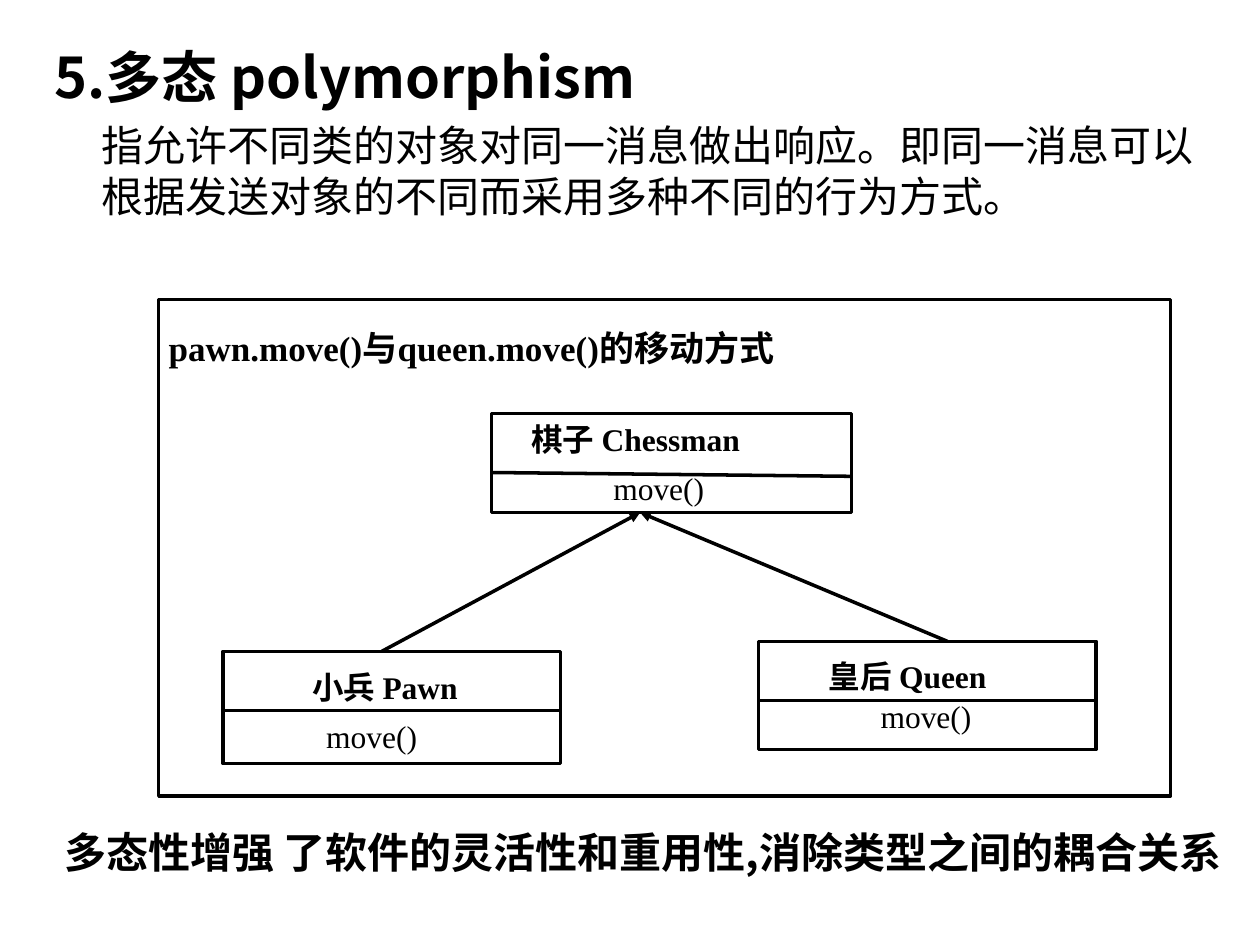
from pptx import Presentation
from pptx.dml.color import RGBColor
from pptx.enum.shapes import MSO_CONNECTOR, MSO_SHAPE
from pptx.enum.text import MSO_ANCHOR, PP_ALIGN
from pptx.oxml.ns import qn
from pptx.util import Pt
from lxml.etree import SubElement

BLACK = RGBColor(0, 0, 0)
SANS, SERIF, BODY = "Noto Sans CJK SC", "Times New Roman", "Calibri"
LINE_WIDTH = Pt(2)

prs = Presentation()
prs.slide_width, prs.slide_height = Pt(720), Pt(540)
slide = prs.slides.add_slide(prs.slide_layouts[5])
shapes = slide.shapes


def write(text, left, top, width, height, size=18, font=SERIF, bold=False,
          wrap=False, holder=None, anchor=MSO_ANCHOR.TOP):
    """Put one paragraph in a new text box, or in the given placeholder."""
    box = holder or shapes.add_textbox(0, 0, 0, 0)
    box.left, box.top, box.width, box.height = map(Pt, (left, top, width, height))
    frame = box.text_frame
    frame.word_wrap = wrap
    frame.vertical_anchor = anchor
    paragraph = frame.paragraphs[0]
    paragraph.alignment = PP_ALIGN.LEFT
    run = paragraph.add_run()
    run.text = text
    run.font.size, run.font.name, run.font.bold = Pt(size), font, bold
    run.font.color.rgb = BLACK
    SubElement(run.font._element, qn("a:ea"), typeface=SANS)


def draw_line(x1, y1, x2, y2, arrow=False):
    line = shapes.add_connector(MSO_CONNECTOR.STRAIGHT, Pt(x1), Pt(y1), Pt(x2), Pt(y2))
    line.line.color.rgb = BLACK
    line.line.width = LINE_WIDTH
    if arrow:
        SubElement(line.line._get_or_add_ln(), qn("a:tailEnd"), type="triangle")
    SubElement(line._element.spPr, qn("a:effectLst"))


# Heading and definition
write("5.多态 polymorphism", 23.8, 20.4, 676, 46, size=32, font=SANS, bold=True,
      wrap=True, holder=shapes.title, anchor=MSO_ANCHOR.MIDDLE)
write("指允许不同类的对象对同一消息做出响应。即同一消息可以根据发送对象的不同而采用多种不同的行为方式。",
      51, 65, 649, 66, size=24, font=BODY, wrap=True)

# Frame and class boxes: left, top, width, height
diagram = (90.7, 171.2, 578.2, 283.7)
chessman = (280.8, 236.2, 205.9, 56.7)
pawn = (127.4, 372.2, 193, 64.1)
queen = (433.4, 366.5, 193, 61.9)
for bounds in (diagram, chessman, pawn, queen):
    rect = shapes.add_shape(MSO_SHAPE.RECTANGLE, *map(Pt, bounds))
    rect.shadow.inherit = False
    rect.fill.background()
    rect.line.color.rgb = BLACK
    rect.line.width = LINE_WIDTH

# Class names, methods and the dividers between them:
# box, name, name left/top/width, method left/top, divider start/end height
classes = [
    (chessman, "棋子 Chessman", (296.6, 236.2, 148), (343.4, 264.6), (270, 272.2)),
    (pawn, "小兵 Pawn", (171.4, 378, 112), (179.3, 406.1), (406.1, 406.1)),
    (queen, "皇后 Queen", (466.6, 372.2, 119), (496.1, 394.6), (400.3, 400.3)),
]
for (left, _, width, _), name, name_place, method_place, (start, end) in classes:
    draw_line(left, start, left + width, end)
    write(name, *name_place, 28.8, bold=True)
    write("move()", *method_place, 70, 28.8)

# Inheritance arrows
for x, y in ((218.2, pawn[1]), (541.4, queen[1])):
    draw_line(x, y, 365.8, chessman[1] + chessman[3], arrow=True)

# Diagram caption and conclusion
write("pawn.move()与queen.move()的移动方式", 89.3, 182.9, 385, 31, size=20, bold=True)
write("多态性增强 了软件的灵活性和重用性,消除类型之间的耦合关系",
      29.5, 468.7, 686, 66, size=24, font=SANS, bold=True, wrap=True)

prs.save("out.pptx")
